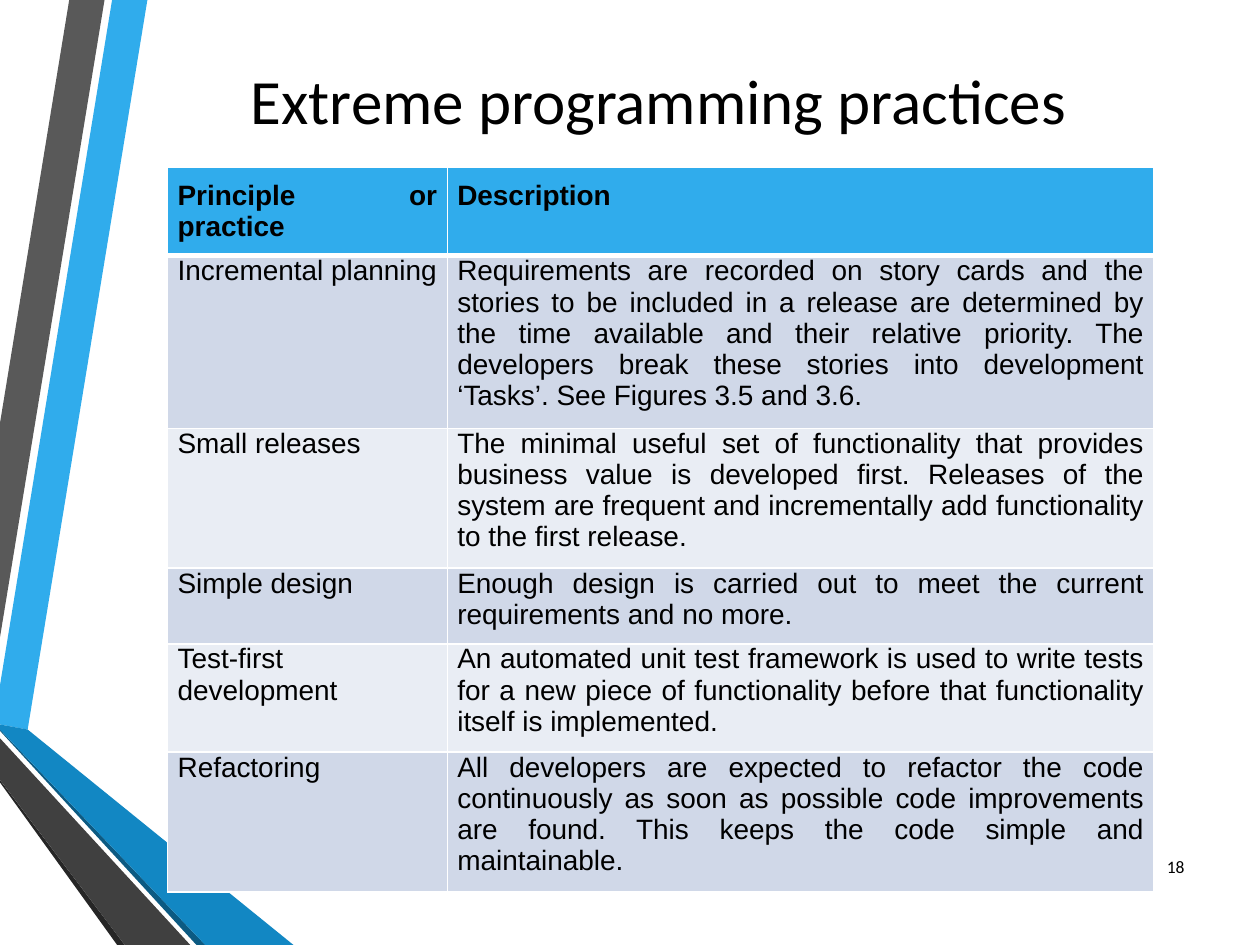
from lxml import etree
from pptx import Presentation
from pptx.dml.color import RGBColor
from pptx.enum.text import MSO_ANCHOR, MSO_AUTO_SIZE, PP_ALIGN
from pptx.oxml.ns import qn
from pptx.util import Inches, Pt

MID, TOP = MSO_ANCHOR.MIDDLE, MSO_ANCHOR.TOP
FIXED = MSO_AUTO_SIZE.NONE
LEFT, RIGHT = PP_ALIGN.LEFT, PP_ALIGN.RIGHT
CENTER, JUST = PP_ALIGN.CENTER, PP_ALIGN.JUSTIFY

HUES = {
    "sky": "30ACEC", "gray": "595959", "coal": "262626", "navy": "0C5A82",
    "blue": "1287C3", "dark": "404040", "odd": "D0D8E8", "even": "E9EDF4",
    "ink": "000000", "line": "FFFFFF",
}
BANDS = [
    ("sky", [(0, 5.44), (0, 5.75), (0.22, 5.79), (1.17, 0), (0.89, 0)]),
    ("gray", [(0.83, 0), (0.55, 0), (0, 3.36), (0, 5.06)]),
    ("coal", [(0, 6.19), (0, 6.21), (0.93, 7.5), (0.99, 7.5)]),
    ("navy", [(0, 5.79), (0, 5.8), (1.56, 7.5), (1.63, 7.5)]),
    ("blue", [(0, 5.79), (1.63, 7.5), (2.33, 7.5), (0.22, 5.79), (0, 5.75)]),
    ("dark", [(0, 6.19), (0.99, 7.5), (1.51, 7.5), (0, 5.86)]),
]
COLS = [2.22, 5.61]
ROWS = [
    (0.7, "Principle or practice", "Description"),
    (1.37, "Incremental planning",
     "Requirements are recorded on story cards and the stories to be included "
     "in a release are determined by the time available and their relative "
     "priority. The developers break these stories into development ‘Tasks’. "
     "See Figures 3.5 and 3.6."),
    (1.11, "Small releases",
     "The minimal useful set of functionality that provides business value is "
     "developed first. Releases of the system are frequent and incrementally "
     "add functionality to the first release."),
    (0.6, "Simple design ",
     "Enough design is carried out to meet the current requirements and no "
     "more."),
    (0.86, "Test-first development",
     "An automated unit test framework is used to write tests for a new piece "
     "of functionality before that functionality itself is implemented."),
    (1.11, "Refactoring",
     "All developers are expected to refactor the code continuously as soon as "
     "possible code improvements are found. This keeps the code simple and "
     "maintainable."),
]


def rgb(name):
    return RGBColor.from_string(HUES[name])


def apply(item, form):
    for key, value in form.items():
        setattr(item, key, value)


def write(frame, text, align, form):
    frame.text = text
    para = frame.paragraphs[0]
    para.alignment = align
    apply(para.runs[0].font, form)
    para.runs[0].font.color.rgb = rgb("ink")


def add_bands(slide, box):
    left, top = box
    group = slide.shapes.add_group_shape()
    for hue, dots in BANDS:
        spots = [(Inches(left + x), Inches(top + y)) for x, y in dots]
        pen = group.shapes.build_freeform(*spots[0])
        pen.add_line_segments(spots[1:], close=True)
        band = pen.convert_to_shape()
        band.fill.solid()
        band.fill.fore_color.rgb = rgb(hue)
        band.line.fill.background()
        band.shadow.inherit = False


def place(shape, box):
    keys = ("left", "top", "width", "height")
    apply(shape, dict(zip(keys, map(Inches, box))))
    apply(shape.text_frame, {"word_wrap": True, "auto_size": FIXED,
                             "vertical_anchor": MID})


def add_title(slide, box):
    title = slide.shapes.title
    place(title, box)
    write(title.text_frame, "Extreme programming practices ", CENTER,
          {"name": "Calibri", "size": Pt(36)})


def add_page(slide, box):
    page = slide.shapes.add_textbox(*map(Inches, box))
    place(page, box)
    write(page.text_frame, "18", RIGHT, {"name": "Calibri", "size": Pt(10)})


def add_edge(cell, side, width):
    props = cell._tc.get_or_add_tcPr()
    edge = etree.Element(qn(f"a:ln{side}"), w=str(Pt(width)))
    fill = etree.SubElement(edge, qn("a:solidFill"))
    etree.SubElement(fill, qn("a:srgbClr"), val=HUES["line"])
    props.insert("LRTB".index(side), edge)


def add_grid(slide, box):
    table = slide.shapes.add_table(len(ROWS), len(COLS),
                                   *map(Inches, box)).table
    for col, width in zip(table.columns, COLS):
        col.width = Inches(width)
    for i, (height, *texts) in enumerate(ROWS):
        table.rows[i].height = Inches(height)
        head = i == 0
        hue = "sky" if head else "odd" if i % 2 else "even"
        for cell, text in zip(table.rows[i].cells, texts):
            apply(cell, {
                "margin_left": Inches(0.08), "margin_right": Inches(0.08),
                "margin_top": Inches(0.1 if head else 0),
                "margin_bottom": Inches(0.1), "vertical_anchor": TOP,
            })
            write(cell.text_frame, text, JUST,
                  {"name": "Arial", "size": Pt(16), "bold": head})
            cell.fill.solid()
            cell.fill.fore_color.rgb = rgb(hue)
            for side in "LRTB":
                thick = (side, i) in (("B", 0), ("T", 1))
                add_edge(cell, side, 3 if thick else 1)


def main():
    deck = Presentation()
    apply(deck, {"slide_width": Inches(10), "slide_height": Inches(7.5)})
    slide = deck.slides.add_slide(deck.slide_layouts[5])
    add_bands(slide, (0, 0))
    add_title(slide, (1.07, 0.5, 8.43, 0.58))
    add_page(slide, (9.03, 6.68, 0.47, 0.4))
    add_grid(slide, (1.33, 1.33, sum(COLS), sum(row[0] for row in ROWS)))
    deck.save("out.pptx")


if __name__ == "__main__":
    main()
